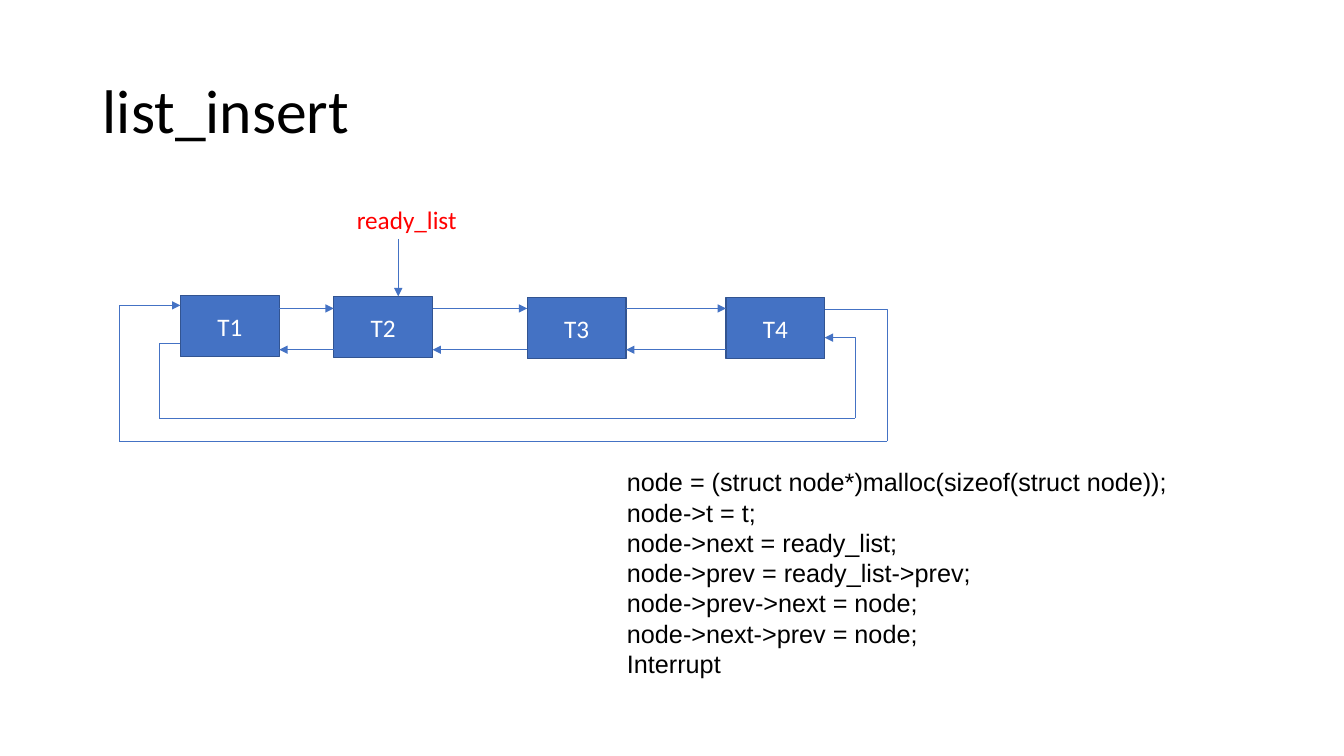
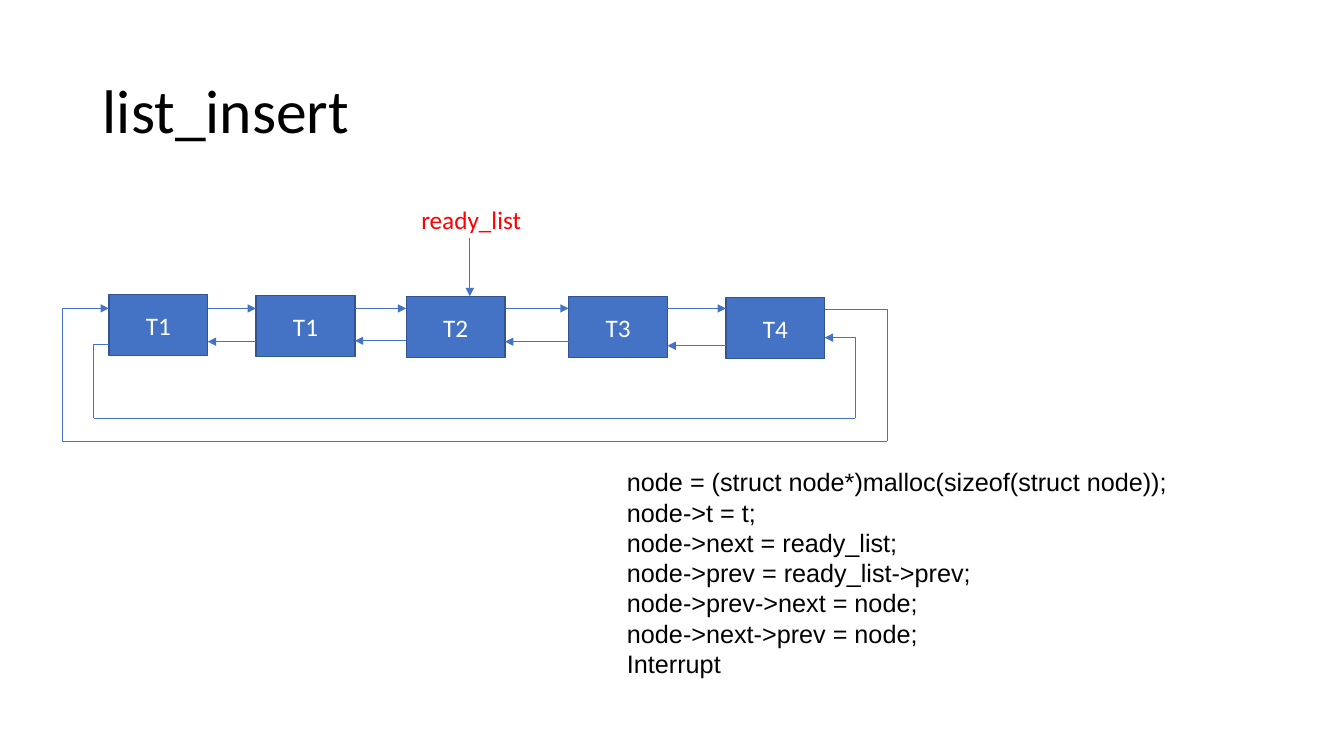
import dataclasses
import itertools

import pptx
import pptx.dml.color
import pptx.enum.shapes
import pptx.enum.text
import pptx.oxml
import pptx.oxml.ns
import pptx.util

Inches = pptx.util.Inches
Pt = pptx.util.Pt
Align = pptx.enum.text.PP_ALIGN
Anchor = pptx.enum.text.MSO_ANCHOR
Kind = pptx.enum.shapes.MSO_CONNECTOR
Point = tuple[float, float]

COLORS = {"text": "000000", "node": "4472C4", "edge": "325491",
          "label": "FF0000", "white": "FFFFFF"}
FONTS = {
    "title": {"name": "Calibri", "size": Pt(44)},
    "node": {"name": "Calibri", "size": Pt(18)},
    "code": {"name": "Arial", "size": Pt(18)},
}
NODE_W, NODE_H = 0.98, 0.61
NEXT_Y = 3.06
INNER_X, INNER_Y = 8.48, 4.15
OUTER_X, OUTER_Y = 8.8, 4.38
CODE = [
    "node = (struct node*)malloc(sizeof(struct node));",
    "node->t = t;",
    "node->next = ready_list;",
    "node->prev = ready_list->prev;",
    "node->prev->next = node;",
    "node->next->prev = node;",
    "Interrupt",
]


@dataclasses.dataclass
class Node:
    name: str
    left: float
    top: float

    @property
    def right(self) -> float:
        return self.left + NODE_W


@dataclasses.dataclass
class Ring:
    """A circular list; prev holds the heights of its backward arrows."""
    nodes: list[Node]
    prev: list[float]
    label: float
    head: Point
    outer: Point
    inner: Point


RINGS = [
    Ring([Node("T1", 1.79, 2.93), Node("T2", 3.31, 2.94),
          Node("T3", 5.23, 2.95), Node("T4", 7.2, 2.95)],
         [3.47, 3.47, 3.47], 3.44, (3.95, 2.37), (1.18, 3.03), (1.58, 3.41)),
    Ring([Node("T1", 1.08, 2.92), Node("T1", 2.54, 2.93),
          Node("T2", 4.03, 2.94), Node("T3", 5.64, 2.94),
          Node("T4", 7.2, 2.95)],
         [3.39, 3.38, 3.39, 3.43], 4.08, (4.66, 2.36), (0.62, 3.06), (0.93, 3.42)),
]


def rgb(key: str) -> pptx.dml.color.RGBColor:
    return pptx.dml.color.RGBColor.from_string(COLORS[key])


def write(frame, lines: list[str], font: str, color: str,
          align=Align.LEFT) -> None:
    frame.text = "\n".join(lines)
    for para in frame.paragraphs:
        para.alignment = align
        for run in para.runs:
            for key, value in FONTS[font].items():
                setattr(run.font, key, value)
            run.font.color.rgb = rgb(color)


def add_title(slide, text: str) -> None:
    title = slide.shapes.title
    place = {"left": 0.92, "top": 0.4, "width": 11.5, "height": 1.45}
    for key, value in place.items():
        setattr(title, key, Inches(value))
    write(title.text_frame, [text], "title", "text")
    title.text_frame.vertical_anchor = Anchor.MIDDLE
    title.text_frame.paragraphs[0].line_spacing = 0.9


def add_text(slide, box: tuple[float, float, float, float],
             lines: list[str], font: str, color: str) -> None:
    frame = slide.shapes.add_textbox(*map(Inches, box)).text_frame
    frame.word_wrap = True
    frame.auto_size = pptx.enum.text.MSO_AUTO_SIZE.SHAPE_TO_FIT_TEXT
    write(frame, lines, font, color)


def add_node(slide, node: Node) -> None:
    box = (node.left, node.top, NODE_W, NODE_H)
    shape = slide.shapes.add_shape(
        pptx.enum.shapes.MSO_SHAPE.RECTANGLE, *map(Inches, box))
    shape.shadow.inherit = False
    shape.fill.solid()
    shape.fill.fore_color.rgb = rgb("node")
    shape.line.color.rgb = rgb("edge")
    shape.line.width = Pt(1)
    shape.text_frame.vertical_anchor = Anchor.MIDDLE
    write(shape.text_frame, [node.name], "node", "white", Align.CENTER)


def add_line(slide, start: Point, end: Point, arrow: bool = True,
             bend: float | None = None) -> None:
    """Join two points; bend is the share of the width before the turn."""
    kind = Kind.STRAIGHT if bend is None else Kind.ELBOW
    line = slide.shapes.add_connector(kind, *map(Inches, start + end))
    line.line.color.rgb = rgb("node")
    line.line.width = Pt(0.5)
    props = line._element.spPr
    if bend is not None:
        guides = props.find(pptx.oxml.ns.qn("a:prstGeom")).get_or_add_avLst()
        guide = pptx.oxml.parse_xml(
            f'<a:gd {pptx.oxml.ns.nsdecls("a")} name="adj1" '
            f'fmla="val {round(bend * 100000)}"/>')
        guides.append(guide)
    if arrow:
        props.find(pptx.oxml.ns.qn("a:ln")).append(pptx.oxml.parse_xml(
            f'<a:tailEnd {pptx.oxml.ns.nsdecls("a")} type="triangle"/>'))
    props.append(pptx.oxml.parse_xml(
        f'<a:effectLst {pptx.oxml.ns.nsdecls("a")}/>'))


def add_loops(slide, ring: Ring) -> None:
    """Draw the two paths that join the last node and the first."""
    first, last = ring.nodes[0], ring.nodes[-1]
    (out_x, out_y), (in_x, in_y) = ring.outer, ring.inner
    add_line(slide, (last.right, 3.07), (OUTER_X, OUTER_Y), False, 1)
    add_line(slide, (OUTER_X, OUTER_Y), (out_x, OUTER_Y), False)
    add_line(slide, (out_x, OUTER_Y), (first.left, out_y), True, 0)
    add_line(slide, (first.left, in_y), (in_x, INNER_Y), False, 1)
    add_line(slide, (in_x, INNER_Y), (INNER_X, INNER_Y), False)
    add_line(slide, (INNER_X, INNER_Y), (last.right, 3.35), True, 0)


def add_ring(slide, ring: Ring) -> None:
    for node in ring.nodes:
        add_node(slide, node)
    for (a, b), y in zip(itertools.pairwise(ring.nodes), ring.prev):
        add_line(slide, (a.right, NEXT_Y), (b.left, NEXT_Y))
        add_line(slide, (b.left, y), (a.right, y))
    add_loops(slide, ring)
    add_line(slide, ring.head, (ring.head[0], 2.94))
    add_text(slide, (ring.label, 1.98, 2.05, 0.4), ["ready_list"], "node", "label")


def main() -> None:
    deck = pptx.Presentation()
    deck.slide_width, deck.slide_height = Inches(13.33), Inches(7.5)
    for ring in RINGS:
        slide = deck.slides.add_slide(deck.slide_layouts[5])
        add_title(slide, "list_insert")
        add_ring(slide, ring)
        add_text(slide, (6.12, 4.58, 6.96, 2.52), CODE, "code", "text")
    deck.save("out.pptx")


if __name__ == "__main__":
    main()
